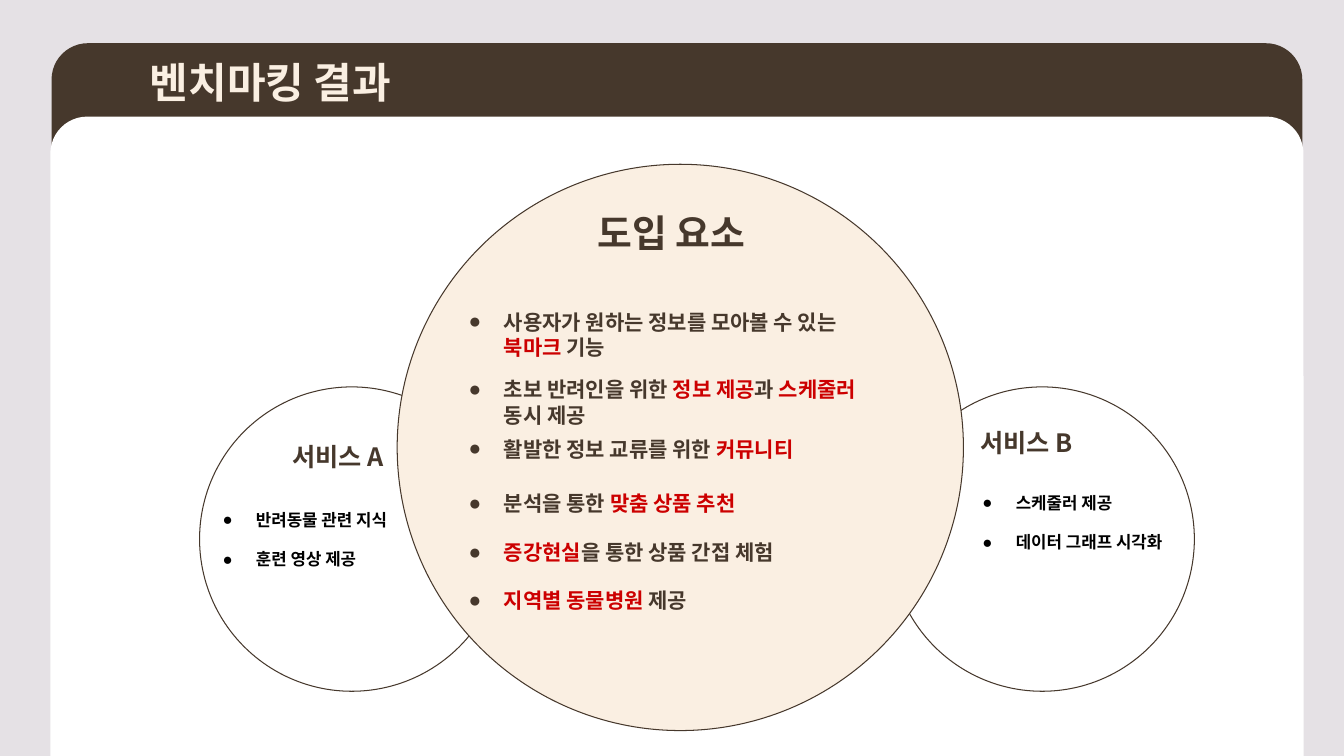
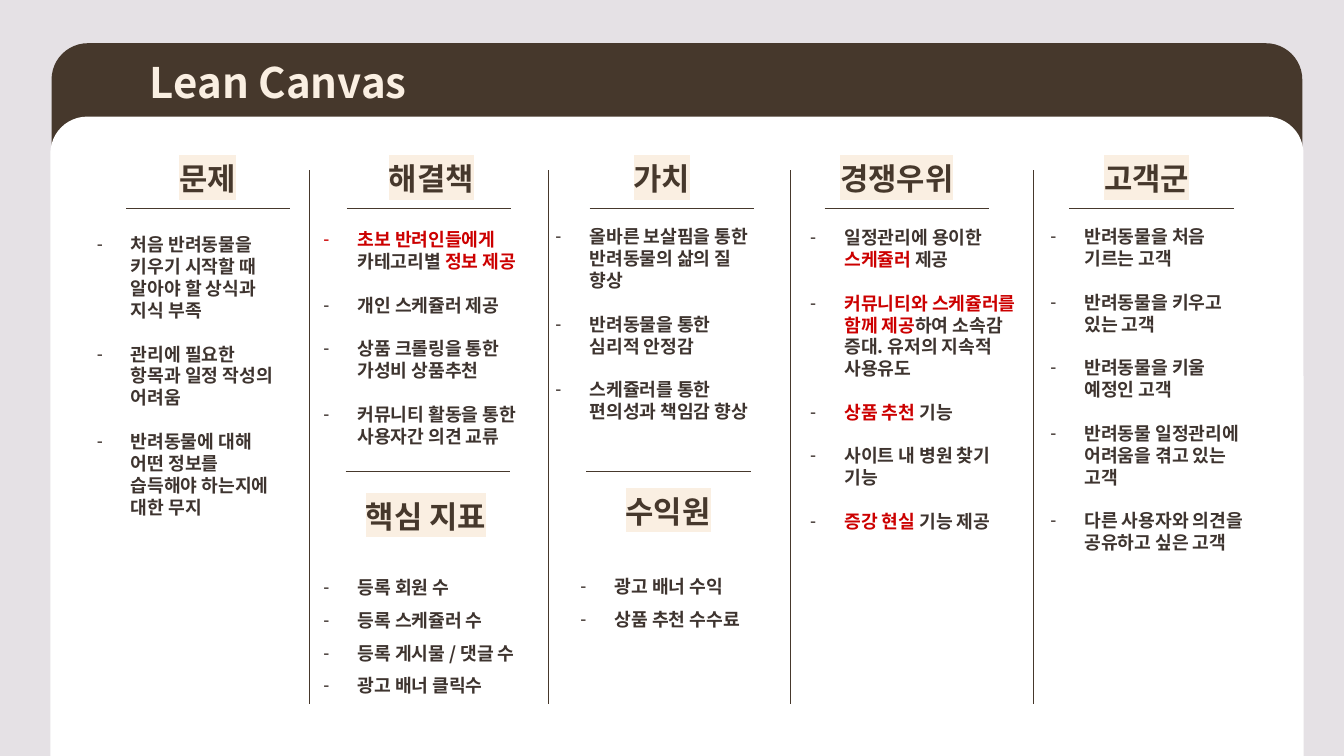
from lxml.etree import SubElement
from pptx import Presentation
from pptx.dml.color import RGBColor
from pptx.enum.shapes import MSO_CONNECTOR as Connector, MSO_SHAPE as Shape
from pptx.oxml import parse_xml
from pptx.oxml.ns import nsdecls, qn
from pptx.util import Cm, Pt

COLORS = {
    "backdrop": "E5E1E5", "brown": "46382C", "cream": "FAEFE2", "white": "FFFFFF",
    "body": "3E342F", "accent": "CC0000", "black": "000000",
}
FONT = "Noto Sans CJK KR"
INSET = Cm(0.25)
INDENT = Cm(1.27)


def add_text(page, left, top, width, height, items, size, color="brown",
             bullet=None, hanging=0, gap=0, spacing=None, highlight=None):
    """Write each item as a paragraph; *stars* mark accent text and a newline
    starts an unbulleted line. A fully starred line gets an accent bullet."""
    box = page.shapes.add_textbox(Cm(left), Cm(top), Cm(width), Cm(height))
    frame = box.text_frame
    frame.word_wrap = True
    frame.margin_left = frame.margin_right = INSET
    frame.margin_top = frame.margin_bottom = INSET
    lines = [(item_number, line_number, line)
             for item_number, item in enumerate(items)
             for line_number, line in enumerate(item.split("\n"))]
    for item_number, line_number, line in lines:
        first = item_number == line_number == 0
        para = frame.paragraphs[0] if first else frame.add_paragraph()
        if spacing:
            para.line_spacing = spacing
        if gap and item_number and line_number == 0:
            para.space_before = Pt(gap)
        pieces = line.split("*")
        if bullet:
            props = para._p.get_or_add_pPr()
            props.set("marL", str(INDENT))
            props.set("indent", str(0 if line_number else -Cm(hanging)))
            if line_number == 0:
                all_accent = not any(pieces[::2])
                mark = SubElement(props, qn("a:buClr"))
                SubElement(mark, qn("a:srgbClr"), val=COLORS["accent" if all_accent else color])
                SubElement(props, qn("a:buFont"), typeface="Arial")
                SubElement(props, qn("a:buChar"), char=bullet)
        for number, piece in enumerate(pieces):
            if not piece:
                continue
            span = para.add_run()
            span.text = piece
            font = span.font
            font.size, font.bold, font.name = Pt(size), True, FONT
            span_color = "accent" if number % 2 else color
            font.color.rgb = RGBColor.from_string(COLORS[span_color])
            run_props = span._r.get_or_add_rPr()
            SubElement(run_props, qn("a:ea"), typeface=FONT)
            if highlight:
                run_props.find(qn("a:solidFill")).addnext(parse_xml(
                    f'<a:highlight {nsdecls("a")}>'
                    f'<a:srgbClr val="{COLORS[highlight]}"/></a:highlight>'))


def add_outline(page, kind, left, top, width, height, fill, line=None, weight=0.75):
    outline = page.shapes.add_shape(kind, Cm(left), Cm(top), Cm(width), Cm(height))
    outline.shadow.inherit = False
    outline.fill.solid()
    outline.fill.fore_color.rgb = RGBColor.from_string(COLORS[fill])
    if line:
        outline.line.color.rgb = RGBColor.from_string(COLORS[line])
        outline.line.width = Pt(weight)
    else:
        outline.line.fill.background()
    return outline


deck = Presentation()
deck.slide_width, deck.slide_height = Cm(33.87), Cm(19.05)

# Shared frame: backdrop, title band and white panel
pages = []
for title in ["벤치마킹 결과", "Lean Canvas"]:
    page = deck.slides.add_slide(deck.slide_layouts[6])
    page.background.fill.solid()
    page.background.fill.fore_color.rgb = RGBColor.from_string(COLORS["backdrop"])
    band = add_outline(page, Shape.ROUND_2_SAME_RECTANGLE, 1.3, 1.09, 31.52, 17.96, "brown")
    band.adjustments[0] = 0.051
    panel = add_outline(page, Shape.ROUND_2_SAME_RECTANGLE, 1.3, 2.97, 31.52, 16.08,
                        "white", line="white", weight=1.75)
    panel.adjustments[0] = 0.056
    add_text(page, 3.53, 1.17, 13.26, 1.8, [title], size=30, color="cream")
    pages.append(page)
benchmark, canvas = pages

# Benchmarking: two service circles behind the circle of adopted features
for left, top, diameter, fill in [(5.03, 9.75, 7.67, "white"),
                                  (22.43, 9.75, 7.67, "white"),
                                  (10.01, 4.14, 14.27, "cream")]:
    add_outline(benchmark, Shape.OVAL, left, top, diameter, diameter, fill, line="brown")

for left, top, size, name in [(7.11, 10.87, 18, "서비스 A"),
                              (24.46, 10.52, 18, "서비스 B"),
                              (14.81, 5.03, 27, "도입 요소")]:
    add_text(benchmark, left, top, 4.67, 1.5, [name], size=size)

for top, feature in [
    (7.54, "사용자가 원하는 정보를 모아볼 수 있는\n*북마크* 기능"),
    (9.25, "초보 반려인을 위한 *정보 제공*과 *스케줄러*\n동시 제공"),
    (10.74, "활발한 정보 교류를 위한 *커뮤니티*"),
    (12.12, "분석을 통한 *맞춤 상품 추천*"),
    (13.34, "*증강현실*을 통한 상품 간접 체험"),
    (14.55, "*지역별 동물병원* 제공"),
]:
    height = 1.8 if "\n" in feature else 1.14
    add_text(benchmark, 11.18, top, 12.85, height, [feature], size=15,
             bullet="●", hanging=0.89)

for left, top, strengths in [
    (4.93, 12.6, ["반려동물 관련 지식", "훈련 영상 제공"]),
    (24.08, 12.17, ["스케줄러 제공", "데이터 그래프 시각화"]),
]:
    for row, strength in enumerate(strengths):
        add_text(benchmark, left, top + row * 0.99, 7.8, 1.02, [strength], size=12,
                 color="black", bullet="●", hanging=0.84)

# Lean Canvas: heading box (left, top, width), list box (left, top, width, height)
LOOSE = {"gap": 15.5}
TALL = {"spacing": 1.5}
sections = [
    ("문제", (4.27, 3.78, 2.57), (1.78, 5.64, 5.72, 10.85), LOOSE, [
        "처음 반려동물을 키우기 시작할 때 알아야 할 상식과 지식 부족",
        "관리에 필요한 항목과 일정 작성의 어려움",
        "반려동물에 대해 어떤 정보를 습득해야 하는지에 대한 무지"]),
    ("해결책", (9.55, 3.78, 4.37), (7.49, 5.51, 6.45, 5.77), LOOSE, [
        "*초보 반려인들에게*\n카테고리별 *정보 제공*",
        "개인 스케쥴러 제공",
        "상품 크롤링을 통한 가성비 상품추천",
        "커뮤니티 활동을 통한 사용자간 의견 교류"]),
    ("가치", (15.72, 3.78, 2.57), (13.34, 5.44, 6.27, 5.77), LOOSE, [
        "올바른 보살핌을 통한\n반려동물의 삶의 질 향상",
        "반려동물을 통한\n심리적 안정감",
        "스케쥴러를 통한 편의성과 책임감 향상"]),
    ("경쟁우위", (20.93, 3.78, 4.37), (19.76, 5.46, 6.27, 11.2), LOOSE, [
        "일정관리에 용이한 *스케쥴러* 제공",
        "*커뮤니티와 스케쥴러를 함께 제공*하여 소속감 증대. 유저의 지속적 사용유도",
        "*상품 추천* 기능",
        "사이트 내 병원 찾기 기능",
        "*증강 현실* 기능 제공"]),
    ("고객군", (27.58, 3.78, 3.3), (25.81, 5.44, 5.84, 9.73), LOOSE, [
        "반려동물을 처음 기르는 고객",
        "반려동물을 키우고 있는 고객",
        "반려동물을 키울 예정인 고객",
        "반려동물 일정관리에 어려움을 겪고 있는 고객",
        "다른 사용자와 의견을 공유하고 싶은 고객"]),
    ("핵심 지표", (8.97, 12.29, 4.37), (7.49, 14, 6.78, 3.51), TALL, [
        "등록 회원 수", "등록 스케쥴러 수", "등록 게시물 / 댓글 수", "광고 배너 클릭수"]),
    ("수익원", (15.52, 12.17, 3.05), (13.97, 13.97, 6.58, 1.8), TALL, [
        "광고 배너 수익", "상품 추천 수수료"]),
]
for heading, heading_box, list_box, rhythm, points in sections:
    add_text(canvas, *heading_box, 1.45, [heading], size=22, highlight="cream")
    add_text(canvas, *list_box, points, size=13, color="body",
             bullet="-", hanging=0.86, **rhythm)

dividers = [(x, 4.29, x, 17.73) for x in (7.8, 13.82, 19.91, 26.04)]
rules = [(x, 5.26, x + 4.14, 5.26) for x in (3.18, 8.74, 14.86, 20.78, 26.95)]
rules += [(x, 11.89, x + 4.14, 11.89) for x in (8.71, 14.78)]
for ends in dividers + rules:
    line = canvas.shapes.add_connector(Connector.STRAIGHT, *map(Cm, ends))
    line.line.color.rgb = RGBColor.from_string(COLORS["brown"])
    line.line.width = Pt(0.75)
    SubElement(line._element.spPr, qn("a:effectLst"))

deck.save("out.pptx")
